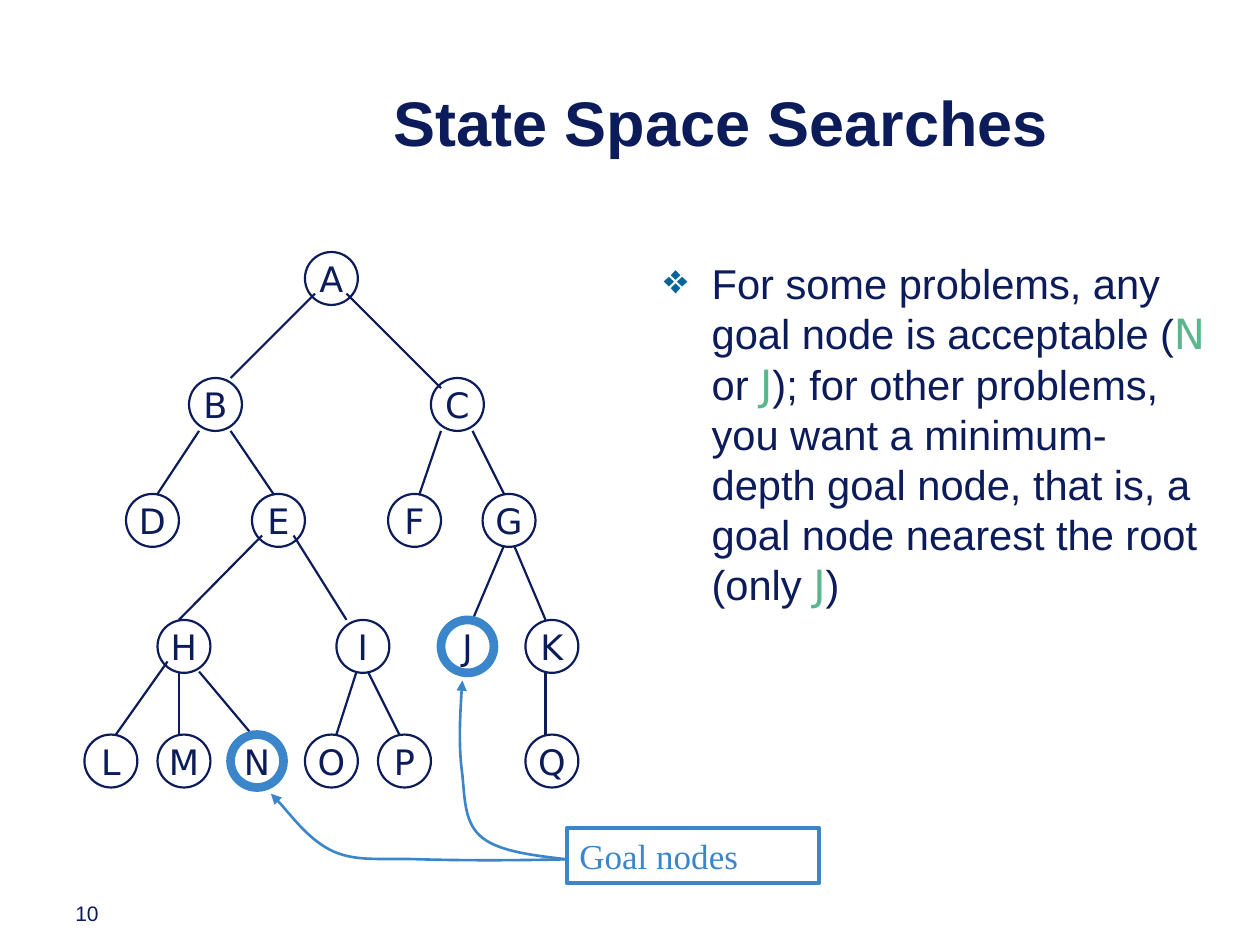
"""Build the slide on state space searches with its search tree and goal nodes."""
from lxml import etree
from pptx import Presentation
from pptx.dml.color import RGBColor
from pptx.enum import shapes, text
from pptx.oxml.ns import qn
from pptx.util import Inches, Pt

NAVY, BLUE, GREEN = "0C1B5A", "3B86CB", "5CB68D"
NODE = 0.42


def rgb(value):
    return RGBColor.from_string(value)


def add_run(p, words, size, name="Arial", color=NAVY, bold=False):
    r = p.add_run()
    r.text = words
    for key, value in {"size": Pt(size), "name": name, "bold": bold}.items():
        setattr(r.font, key, value)
    r.font.color.rgb = rgb(color)


prs = Presentation()
prs.slide_width, prs.slide_height = Inches(10), Inches(7.5)
s = prs.slides.add_slide(prs.slide_layouts[5])

title = s.shapes.title
frame = {"left": -0.02, "top": 0.5, "width": 8.44, "height": 0.92}
for key, value in frame.items():
    setattr(title, key, Inches(value))
tf = title.text_frame
tf.vertical_anchor = text.MSO_ANCHOR.MIDDLE
tf.paragraphs[0].alignment = text.PP_ALIGN.RIGHT
add_run(tf.paragraphs[0], "State Space Searches", 36, bold=True)

number = s.shapes.add_textbox(Inches(0.5), Inches(7.1), Inches(2.33), Inches(0.35))
add_run(number.text_frame.paragraphs[0], "10", 12)

body = s.shapes.add_textbox(Inches(5.17), Inches(2), Inches(4.5), Inches(3.25))
tf = body.text_frame
tf.word_wrap = True
p = tf.paragraphs[0]
p.line_spacing = Pt(28.6)
pPr = p._p.get_or_add_pPr()
pPr.set("marL", str(Inches(0.38)))
pPr.set("indent", str(Inches(-0.38)))
bullet_color = etree.SubElement(pPr, qn("a:buClr"))
etree.SubElement(bullet_color, qn("a:srgbClr"), val="006699")
etree.SubElement(pPr, qn("a:buChar"), char="❖")
for words in ["For some problems, any goal node is acceptable (", "N", " or ", "J",
              "); for other problems, you want a minimum-depth goal node, "
              "that is, a goal node nearest the root (only ", "J", ")"]:
    if words in ("N", "J"):
        add_run(p, words, 23.8, "DejaVu Sans", GREEN)
    else:
        add_run(p, words, 23.8)

rows = {
    2: {"A": 2.42},
    3: {"B": 1.5, "C": 3.42},
    3.92: {"D": 1, "E": 2, "F": 3.08, "G": 3.83},
    4.92: {"H": 1.25, "I": 2.67, "J": 3.5, "K": 4.17},
    5.83: {"L": 0.67, "M": 1.25, "N": 1.83, "O": 2.42, "P": 3, "Q": 4.17},
}
nodes = [(name, x, y) for y, row in rows.items() for name, x in row.items()]
rings = [("", x, y) for name, x, y in nodes if name in "JN"]
edges = [
    (1.83, 3, 2.5, 2.33), (2.75, 2.33, 3.5, 3.08),
    (1.58, 3.42, 1.25, 3.92), (1.83, 3.42, 2.17, 3.92),
    (3.5, 3.42, 3.33, 3.92), (3.75, 3.42, 4, 3.92),
    (1.42, 4.92, 2.08, 4.25), (2.75, 4.92, 2.33, 4.25),
    (3.75, 4.92, 4, 4.33), (4.33, 4.92, 4.08, 4.33),
    (0.92, 5.83, 1.33, 5.25), (1.42, 5.83, 1.42, 5.33),
    (2, 5.83, 1.58, 5.33), (2.67, 5.83, 2.83, 5.33),
    (3.17, 5.83, 2.92, 5.33), (4.33, 5.83, 4.33, 5.33),
]
for edge in edges:
    line = s.shapes.add_connector(shapes.MSO_CONNECTOR.STRAIGHT, *map(Inches, edge))
    line.line.color.rgb = rgb(NAVY)
    line.line.width = Pt(1.25)
    etree.SubElement(line._element.spPr, qn("a:effectLst"))

for name, x, y in nodes + rings:
    sp = s.shapes.add_shape(shapes.MSO_SHAPE.OVAL, Inches(x), Inches(y),
                            Inches(NODE), Inches(NODE))
    sp.shadow.inherit = False
    sp.fill.background()
    sp.line.color.rgb = rgb(NAVY if name else BLUE)
    sp.line.width = Pt(1.25 if name else 5)
    if name:
        tf = sp.text_frame
        tf.word_wrap = False
        tf.vertical_anchor = text.MSO_ANCHOR.MIDDLE
        tf.paragraphs[0].alignment = text.PP_ALIGN.CENTER
        add_run(tf.paragraphs[0], name, 20, "DejaVu Sans")

label = s.shapes.add_shape(shapes.MSO_SHAPE.RECTANGLE, Inches(4.5), Inches(6.57),
                           Inches(2), Inches(0.44))
label.shadow.inherit = False
label.fill.background()
label.line.color.rgb = rgb(BLUE)
label.line.width = Pt(2.25)
tf = label.text_frame
tf.vertical_anchor = text.MSO_ANCHOR.TOP
tf.paragraphs[0].alignment = text.PP_ALIGN.LEFT
add_run(tf.paragraphs[0], "Goal nodes", 20, "Times New Roman", BLUE)

arrows = [
    [(4.5, 6.82), (4.1, 6.83), (3.64, 6.83), (3.33, 6.82), (3.02, 6.81),
     (2.84, 6.84), (2.65, 6.76), (2.45, 6.67), (2.26, 6.4), (2.15, 6.3)],
    [(4.5, 6.82), (4.24, 6.79), (3.97, 6.76), (3.83, 6.65), (3.69, 6.54),
     (3.69, 6.36), (3.67, 6.15), (3.64, 5.94), (3.65, 5.67), (3.67, 5.4)],
]
for points in arrows:
    points = [(Inches(x), Inches(y)) for x, y in points]
    builder = s.shapes.build_freeform(*points[0])
    builder.add_line_segments(points[1:], close=False)
    sp = builder.convert_to_shape()
    segments = list(sp._element.iter(qn("a:lnTo")))
    for i in range(0, len(segments), 3):
        curve = etree.SubElement(segments[i].getparent(), qn("a:cubicBezTo"))
        for segment in segments[i:i + 3]:
            curve.append(segment[0])
            segment.getparent().remove(segment)
    sp.shadow.inherit = False
    sp.fill.background()
    sp.line.color.rgb = rgb(BLUE)
    sp.line.width = Pt(1.5)
    etree.SubElement(sp.line._get_or_add_ln(), qn("a:tailEnd"), type="triangle")

prs.save("out.pptx")
